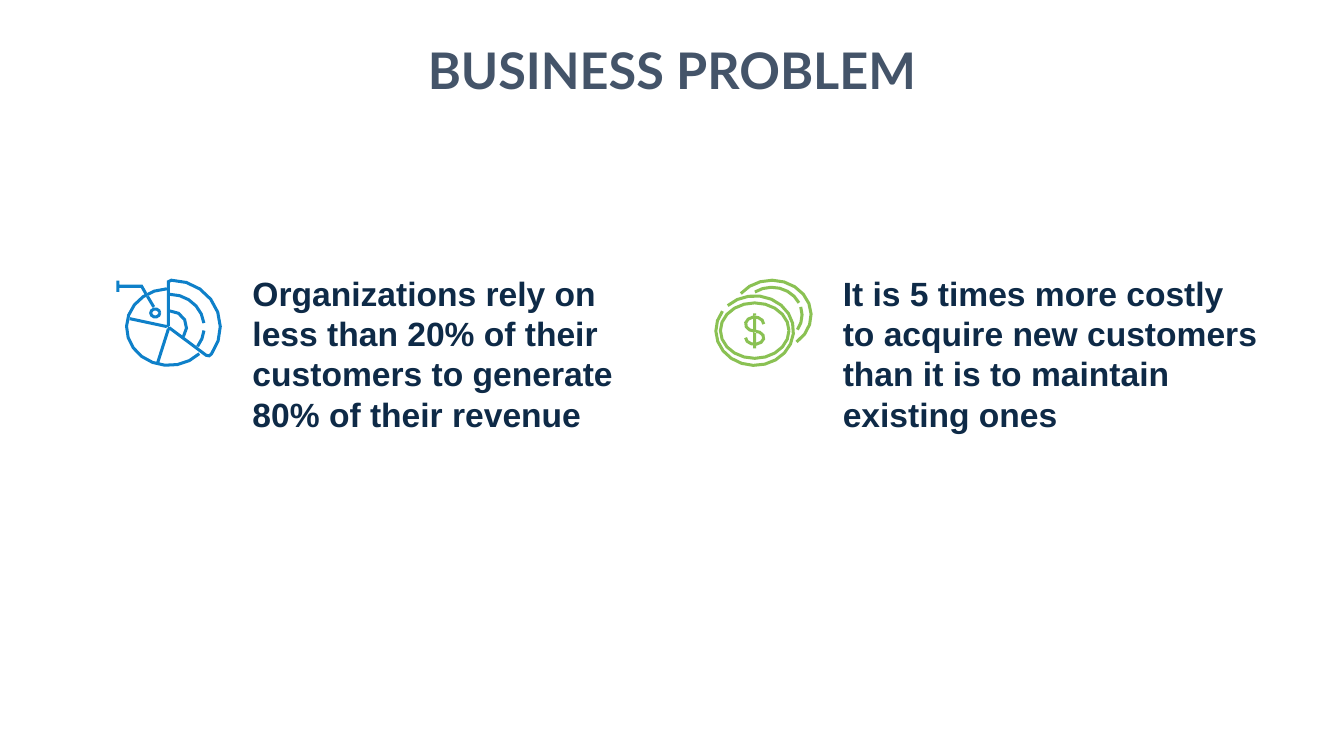
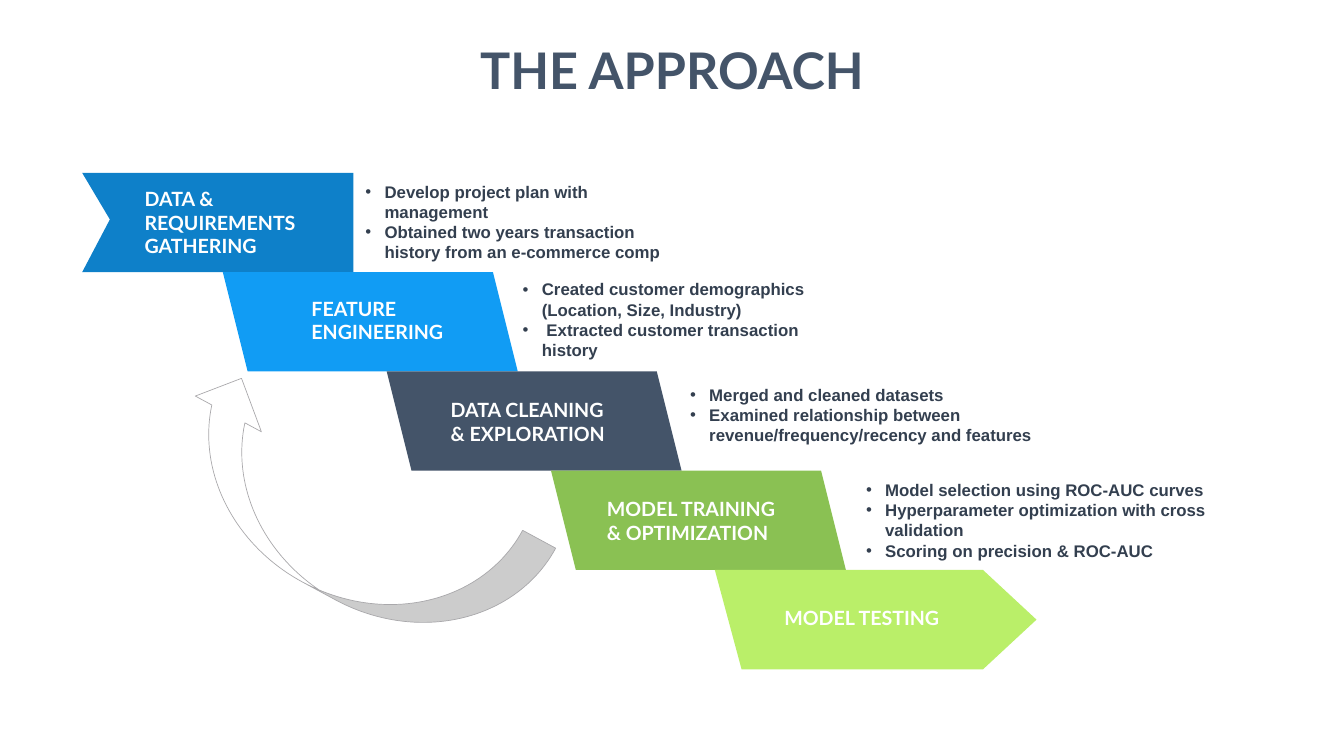
from math import ceil, cos, hypot, radians, sin

from lxml import etree
from pptx import Presentation
from pptx.dml.color import RGBColor
from pptx.enum.shapes import MSO_SHAPE
from pptx.enum.text import MSO_AUTO_SIZE, PP_ALIGN
from pptx.oxml.ns import qn
from pptx.util import Emu, Pt

PARALLELOGRAM = MSO_SHAPE.PARALLELOGRAM
CURVED_ARROW = MSO_SHAPE.CURVED_LEFT_ARROW
GROW = MSO_AUTO_SIZE.SHAPE_TO_FIT_TEXT
CENTER, LEFT = PP_ALIGN.CENTER, PP_ALIGN.LEFT

# Shared look; 100 px to the inch
PX = 9144
SLIDE_W, SLIDE_H = 2666, 1500
HEAD_FONT, BODY_FONT = "Lato", "Arial"
WHITE = RGBColor(0xFF, 0xFF, 0xFF)
SLATE = RGBColor(0x44, 0x54, 0x69)
NAVY = RGBColor(0x0E, 0x2A, 0x47)
CHARCOAL = RGBColor(0x33, 0x3F, 0x4F)
BLUE = RGBColor(0x0E, 0x80, 0xC9)
SKY = RGBColor(0x11, 0x9C, 0xF4)
GREEN = RGBColor(0x8A, 0xC1, 0x53)
LIME = RGBColor(0xBA, 0xEF, 0x69)
GRAY = RGBColor(0xA9, 0xA8, 0xAB)

# Slide 1 content: text and its box
PROBLEMS = [
    ("Organizations rely on less than 20% of their customers to generate "
     "80% of their revenue", (491, 536, 772, 333)),
    ("It is 5 times more costly to acquire new customers than it is to "
     "maintain existing ones", (1662, 536, 846, 333)),
]

# Slide 2 content: colour, label, label box, bullets, bullet box
STAGES = [
    (BLUE, ["DATA &", "REQUIREMENTS", "GATHERING"], (277, 366, 329, 151),
     ["Develop project plan with management",
      "Obtained two years transaction history from an e-commerce comp"],
     (715, 355, 637, 172)),
    (SKY, ["FEATURE", "ENGINEERING"], (608, 584, 282, 104),
     ["Created customer demographics (Location, Size, Industry)",
      " Extracted customer transaction history"],
     (1027, 549, 676, 172)),
    (SLATE, ["DATA CLEANING", "& EXPLORATION"], (884, 785, 339, 104),
     ["Merged and cleaned datasets",
      "Examined relationship between revenue/frequency/recency and features"],
     (1359, 758, 698, 131)),
    (GREEN, ["MODEL TRAINING", "& OPTIMIZATION"], (1194, 981, 370, 104),
     ["Model selection using ROC-AUC curves",
      "Hyperparameter optimization with cross validation",
      "Scoring on precision & ROC-AUC"],
     (1708, 947, 698, 172)),
    (LIME, ["MODEL TESTING"], (1546, 1198, 392, 57), [], None),
]
BAND_TOP, BAND_W, BAND_H = 343, 585, 197
FIRST_BAND = (163, 701)          # left and right edge
NOTCH = 55
SLANT_LEFT, TWO_BAND_STEP = 442, 651
LAST_SLANT, LAST_SHOULDER, LAST_TIP = 53, 532, 638


def emu(*lengths):
    return [Emu(round(n * PX)) for n in lengths]


def add_text(slide, box, lines, font, size, color, align=LEFT, wrap=True,
             bullets=False):
    frame = slide.shapes.add_textbox(*emu(*box)).text_frame
    frame.word_wrap = wrap
    frame.auto_size = GROW
    for i, line in enumerate(lines):
        para = frame.paragraphs[0] if i == 0 else frame.add_paragraph()
        para.alignment = align
        run = para.add_run()
        run.text = line
        run.font.name = font
        run.font.size = Pt(size)
        run.font.bold = True
        run.font.color.rgb = color
        if bullets:
            props = para._p.get_or_add_pPr()
            indent = 38 * PX
            props.set("marL", str(indent))
            props.set("indent", str(-indent))
            etree.SubElement(props, qn("a:buFont")).set("typeface", "Arial")
            etree.SubElement(props, qn("a:buChar")).set("char", "•")


def add_title(slide, text, width):
    add_text(slide, ((SLIDE_W - width) / 2, 72, width, 131), [text],
             HEAD_FONT, 72, SLATE, CENTER, wrap=False)


def paint(shape, fill):
    shape.shadow.inherit = False
    shape.fill.solid()
    shape.fill.fore_color.rgb = fill
    shape.line.fill.background()


def add_outline(slide, contours, fill):
    """Fill one freeform made of closed contours."""
    builder = slide.shapes.build_freeform(*emu(*contours[0][0]), scale=1.0)
    for i, contour in enumerate(contours):
        if i:
            builder.move_to(*emu(*contour[0]))
        builder.add_line_segments([emu(*p) for p in contour[1:]], close=True)
    paint(builder.convert_to_shape(), fill)


def arc(cx, cy, rx, ry, start, end):
    """Points along an ellipse; degrees run clockwise from the right."""
    steps = ceil(abs(end - start) / (18 if rx > 40 else 36))
    angles = [radians(start + (end - start) * i / steps)
              for i in range(steps + 1)]
    return [(cx + rx * cos(a), cy + ry * sin(a)) for a in angles]


def stroke(points, width):
    """Contour of a pen of the given width drawn along points."""
    units = []
    for (x0, y0), (x1, y1) in zip(points, points[1:]):
        length = hypot(x1 - x0, y1 - y0)
        units.append(((x1 - x0) / length, (y1 - y0) / length))
    left, right = [], []
    for (x, y), a, b in zip(points, units[:1] + units, units + units[-1:]):
        tx, ty = a[0] + b[0], a[1] + b[1]
        reach = width / (tx * tx + ty * ty)   # mitre at the bend
        left.append((x - ty * reach, y + tx * reach))
        right.append((x + ty * reach, y - tx * reach))
    return left + right[::-1]


def add_strokes(slide, lines, width, color):
    add_outline(slide, [stroke(line, width) for line in lines], color)


def add_pie_icon(slide):
    corner = (334, 649)
    sector = ([corner, (334, 559)] + arc(340, 649, 97, 93, -90, 35)
              + [(415, 706), (409, 705), corner])
    add_strokes(slide, [
        sector,
        arc(335, 649, 84, 76, 44, 267),        # disc rim
        arc(337, 649, 33, 32, -90, 35),        # small arc
        arc(337, 649, 68, 65, -90, -7),        # broken arc
        arc(337, 649, 68, 65, 6, 36),
        [(331, 648), (256, 632)],              # spokes
        [(334, 653), (313, 719)],
        [(234, 557), (234, 579)],              # handle
        [(237, 568), (281, 568), (289, 582)],
        [(292, 587), (305, 609)],
        arc(308, 621, 9, 8, 0, 360),           # knob
    ], 6, BLUE)


def add_coins_icon(slide):
    front, back = (1497, 656), (1531, 625)
    x, y = front
    dollar = (arc(x, y - 13, 18, 14, 0, -270)
              + arc(x, y + 14, 18, 13, -90, 180)[1:])
    # The bar stops at each pass of the S
    bar = [[(x, y + a), (x, y + b)]
           for a, b in ((-34, -30), (-24, -2), (3, 24), (30, 35))]
    for lines in (
        [arc(*front, 77, 69, 226, 574)],       # front rim
        [arc(*front, 68, 55, 0, 360)],         # front inner ring
        [arc(*back, 78, 69, 218, 411)],        # back rim
        [arc(*back, 60, 55, 343, 392)],        # back inner ring
        [arc(*back, 60, 55, 236, 334)],
        [dollar] + bar,
    ):
        add_strokes(slide, lines, 6, GREEN)


def build_problem(slide):
    add_title(slide, "BUSINESS PROBLEM", 1069)
    for (text, box), add_icon in zip(PROBLEMS, (add_pie_icon, add_coins_icon)):
        add_text(slide, box, [text], BODY_FONT, 48, NAVY)
        add_icon(slide)


def add_band(slide, i, color):
    top = BAND_TOP + i * BAND_H
    bottom, middle = top + BAND_H, top + BAND_H / 2
    left = SLANT_LEFT + (i - 1) * TWO_BAND_STEP // 2
    if i == 0:
        start, end = FIRST_BAND
        add_outline(slide, [[(start, top), (end, top), (end, bottom),
                             (start, bottom), (start + NOTCH, middle - 6)]],
                    color)
    elif i == len(STAGES) - 1:
        add_outline(slide, [[(left, top), (left + LAST_SHOULDER, top),
                             (left + LAST_TIP, middle),
                             (left + LAST_SHOULDER, bottom),
                             (left + LAST_SLANT, bottom)]], color)
    else:
        band = slide.shapes.add_shape(PARALLELOGRAM,
                                      *emu(left, top, BAND_W, BAND_H))
        band.element.spPr.get_or_add_xfrm().set("flipV", "1")
        paint(band, color)


def build_approach(slide):
    add_title(slide, "THE APPROACH", 783)
    for i, (color, label, label_box, notes, notes_box) in enumerate(STAGES):
        add_band(slide, i, color)
        add_text(slide, label_box, label, HEAD_FONT, 28, WHITE,
                 wrap=len(label) == 1)
        if notes:
            add_text(slide, notes_box, notes, BODY_FONT, 24, CHARCOAL,
                     bullets=True)
    # Loop back from training to feature engineering
    loop = slide.shapes.add_shape(CURVED_ARROW, *emu(538, 641, 298, 783))
    paint(loop, WHITE)
    loop.rotation = 118.4
    loop.line.color.rgb = GRAY
    loop.line.width = Pt(1)


def main():
    deck = Presentation()
    deck.slide_width, deck.slide_height = emu(SLIDE_W, SLIDE_H)
    for build in (build_problem, build_approach):
        build(deck.slides.add_slide(deck.slide_layouts[6]))
    deck.save("out.pptx")


if __name__ == "__main__":
    main()
